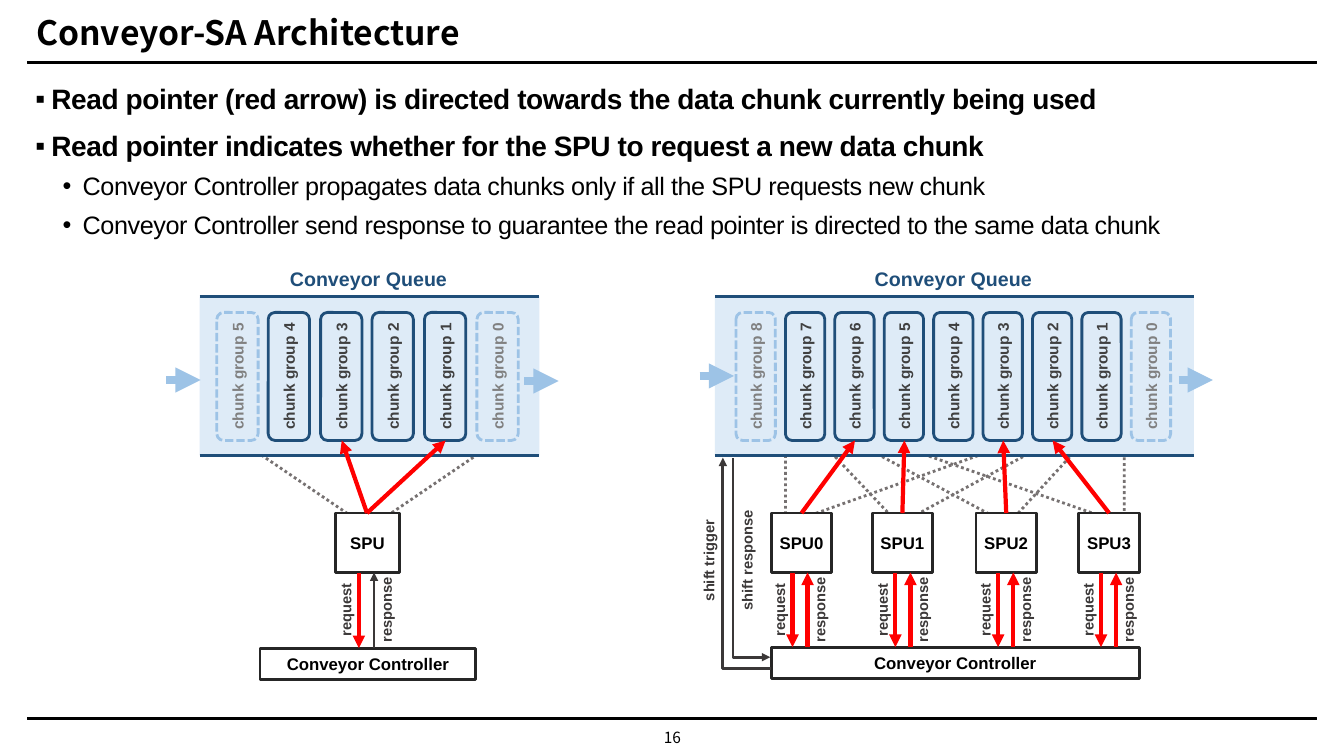
from dataclasses import dataclass

from lxml import etree
from pptx import Presentation
from pptx.dml.color import RGBColor
from pptx.enum.dml import MSO_LINE
from pptx.enum.shapes import MSO_CONNECTOR, MSO_SHAPE
from pptx.enum.text import MSO_ANCHOR, MSO_AUTO_SIZE, PP_ALIGN
from pptx.oxml.ns import qn
from pptx.util import Emu, Pt

PX = 9144  # 100 px to the inch
RECT, ROUNDED, TRIANGLE = MSO_SHAPE.RECTANGLE, MSO_SHAPE.ROUNDED_RECTANGLE, MSO_SHAPE.ISOSCELES_TRIANGLE
STRAIGHT, ELBOW = MSO_CONNECTOR.STRAIGHT, MSO_CONNECTOR.ELBOW
DOTTED, DASHED = MSO_LINE.ROUND_DOT, MSO_LINE.SQUARE_DOT
TOP, MIDDLE, BOTTOM = MSO_ANCHOR.TOP, MSO_ANCHOR.MIDDLE, MSO_ANCHOR.BOTTOM
LEFT, CENTER = PP_ALIGN.LEFT, PP_ALIGN.CENTER
GROW, FIXED = MSO_AUTO_SIZE.SHAPE_TO_FIT_TEXT, MSO_AUTO_SIZE.NONE

BLACK = RGBColor(0x00, 0x00, 0x00)
WHITE = RGBColor(0xFF, 0xFF, 0xFF)
RED = RGBColor(0xFF, 0x00, 0x00)
NAVY = RGBColor(0x1F, 0x4E, 0x79)
SKY = RGBColor(0x9D, 0xC3, 0xE6)
PALE = RGBColor(0xDE, 0xEB, 0xF7)
FRAME = RGBColor(0x26, 0x26, 0x26)
CHARCOAL = RGBColor(0x3B, 0x38, 0x38)
DARK_GRAY = RGBColor(0x40, 0x40, 0x40)
GRAY = RGBColor(0x80, 0x80, 0x80)
DOT_GRAY = RGBColor(0x76, 0x71, 0x71)

BODY_FONT, TITLE_FONT = "Arial", "Noto Sans CJK KR"
QUEUE_TOP, QUEUE_HEIGHT = 294, 158
SPU_TOP, SPU_HEIGHT = 509, 59
CHUNK_TOP, CHUNK_HEIGHT = 310, 127


@dataclass
class Spu:
    name: str
    left: int
    width: int
    range_left: int
    range_width: int
    range_top: int
    apex: float
    targets: tuple[int, ...]
    request_x: int


@dataclass
class Figure:
    center: int
    queue_left: int
    queue_right: int
    chunk_count: int
    first_chunk: int
    last_chunk: int
    chunk_width: int
    inflow: tuple[int, int]
    outflow: tuple[int, int]
    controller: tuple[int, int, int, int]
    response_color: RGBColor
    response_width: int
    spus: list[Spu]


FIGURES = [
    Figure(365, 198, 535, 6, 215, 473, 41, (165, 377), (520, 378), (258, 643, 214, 31), CHARCOAL, 2,
           [Spu("SPU", 333, 63, 244, 244, 441, 0.5, (442, 339), 356)]),
    Figure(945, 709, 1184, 9, 730, 1122, 39, (694, 373), (1169, 377), (765, 642, 365, 31), RED, 3,
           [Spu("SPU0", 765, 60, 779, 233, 437, 0, (848,), 786),
            Spu("SPU1", 865, 60, 813, 231, 437, 0.34, (897,), 888),
            Spu("SPU2", 968, 60, 845, 231, 437, 0.67, (995,), 990),
            Spu("SPU3", 1070, 60, 877, 238, 437, 1, (1044,), 1092)]),
]
BULLETS = [
    (0, "Read pointer (red arrow) is directed towards the data chunk currently being used"),
    (0, "Read pointer indicates whether for the SPU to request a new data chunk"),
    (1, "Conveyor Controller propagates data chunks only if all the SPU requests new chunk"),
    (1, "Conveyor Controller send response to guarantee the read pointer is directed to the same data chunk"),
]


def place(shape, left: int, top: int, width: int, height: int) -> None:
    shape.left, shape.top, shape.width, shape.height = (Emu(v * PX) for v in (left, top, width, height))


def set_frame(shape, anchor, insets: tuple[int, int, int, int], size=FIXED):
    frame = shape.text_frame
    frame.word_wrap, frame.auto_size, frame.vertical_anchor = True, size, anchor
    frame.margin_left, frame.margin_top, frame.margin_right, frame.margin_bottom = (Emu(v * PX) for v in insets)
    return frame


def style_para(para, size: float, color: RGBColor, align=CENTER, bold=True, font=BODY_FONT) -> None:
    para.alignment = align
    for span in para.runs:
        span.font.size, span.font.bold, span.font.name = Pt(size), bold, font
        span.font.color.rgb = color


def add_box(slide, kind, at: tuple[int, int, int, int], fill=None, line=None, line_width=2, dash=None,
            text="", size=12, color=BLACK, vertical=False):
    box = slide.shapes.add_shape(kind, *(Emu(v * PX) for v in at))
    box.shadow.inherit = False
    if fill is None:
        box.fill.background()
    else:
        box.fill.solid()
        box.fill.fore_color.rgb = fill
    if line is None:
        box.line.fill.background()
    else:
        box.line.color.rgb, box.line.width = line, Pt(line_width)
    if dash is not None:
        box.line.dash_style = dash
    if text:
        frame = set_frame(box, MIDDLE, (0, 0, 0, 0))
        frame.text = text
        style_para(frame.paragraphs[0], size, color)
        if vertical:
            frame._txBody.bodyPr.set("vert", "vert270")
    return box


def add_label(slide, text: str, center_x: int, center_y: int, width: int, height: int,
              size: float, color: RGBColor, rotation=270) -> None:
    box = slide.shapes.add_textbox(0, 0, 0, 0)
    place(box, center_x - width // 2, center_y - height // 2, width, height)
    box.rotation = rotation
    frame = set_frame(box, TOP, (0, 0, 0, 0), GROW)
    frame.text = text
    style_para(frame.paragraphs[0], size, color)


def add_line(slide, start: tuple[int, int], end: tuple[int, int], color: RGBColor, width: float,
             arrow="", kind=STRAIGHT) -> None:
    line = slide.shapes.add_connector(kind, *(Emu(v * PX) for v in start + end))
    line.line.color.rgb, line.line.width = color, Pt(width)
    properties = line.element.spPr
    if kind == ELBOW:  # one corner only
        properties.find(qn("a:prstGeom")).set("prst", "bentConnector2")
    if arrow:
        etree.SubElement(properties.find(qn("a:ln")), qn(f"a:{arrow}")).set("type", "triangle")
    etree.SubElement(properties, qn("a:effectLst"))


def add_text(slide) -> None:
    title = slide.shapes.title
    place(title, 26, 6, 1278, 51)
    frame = set_frame(title, BOTTOM, (10, 5, 10, 5))
    frame.text = "Conveyor-SA Architecture"
    frame.paragraphs[0].line_spacing = 0.9
    style_para(frame.paragraphs[0], 24, BLACK, LEFT, font=TITLE_FONT)

    body = slide.placeholders[1]
    place(body, 27, 77, 1278, 170)
    frame = set_frame(body, TOP, (8, 8, 4, 0))
    frame.text = "\n".join(text for _, text in BULLETS)
    for para, (level, _) in zip(frame.paragraphs, BULLETS):
        para.level, para.line_spacing, para.space_before = level, 0.9, Pt((12, 8)[level])
        style_para(para, (20, 18)[level], BLACK, LEFT, bold=level == 0)
        para.runs[0].font._element.set("spc", "-30")
        properties = para._p.get_or_add_pPr()
        properties.set("marL", str((16, 47)[level] * PX))
        properties.set("indent", str(-20 * PX))
        etree.SubElement(properties, qn("a:buChar")).set("char", "▪•"[level])

    # Rules and page number
    for top in (61, 712):
        add_box(slide, RECT, (27, top, 1279, 2), BLACK, BLACK, 1)
    number = slide.shapes.add_textbox(0, 0, 0, 0)
    place(number, 644, 717, 46, 28)
    frame = set_frame(number, TOP, (10, 5, 10, 5))
    frame.text = "16"
    style_para(frame.paragraphs[0], 11, BLACK, bold=False, font=TITLE_FONT)


def add_figure(slide, figure: Figure) -> None:
    # Reach of each SPU, its tip pointing down
    for spu in figure.spus:
        reach = add_box(slide, TRIANGLE, (spu.range_left, spu.range_top, spu.range_width, 83),
                        line=DOT_GRAY, dash=DOTTED)
        reach.rotation = 180
        reach.adjustments[0] = 1 - spu.apex

    # Queue with its chunks
    add_box(slide, RECT, (figure.queue_left, QUEUE_TOP, figure.queue_right - figure.queue_left, QUEUE_HEIGHT), PALE)
    for y in (QUEUE_TOP, QUEUE_TOP + QUEUE_HEIGHT):
        add_line(slide, (figure.queue_left, y), (figure.queue_right, y), NAVY, 2)
    add_label(slide, "Conveyor Queue", figure.center, 277, 265, 24, 14, NAVY, rotation=0)
    last = figure.chunk_count - 1
    for index in range(figure.chunk_count):
        left = figure.first_chunk + (figure.last_chunk - figure.first_chunk) * index // last
        outer = index in (0, last)
        add_box(slide, ROUNDED, (left, CHUNK_TOP, figure.chunk_width, CHUNK_HEIGHT), PALE,
                SKY if outer else NAVY, dash=DASHED if outer else None, text=f"chunk group {last - index}",
                size=11, color=GRAY if outer else DARK_GRAY, vertical=True)
    for x, y in (figure.inflow, figure.outflow):
        add_line(slide, (x, y), (x + 34, y), SKY, 6, "tailEnd")

    # Controller, SPUs and their arrows
    controller_top = figure.controller[1]
    add_box(slide, RECT, figure.controller, WHITE, FRAME, text="Conveyor Controller")
    for spu in figure.spus:
        add_box(slide, RECT, (spu.left, SPU_TOP, spu.width, SPU_HEIGHT), WHITE, FRAME, text=spu.name)
        for target in spu.targets:
            add_line(slide, (spu.left + spu.width // 2, SPU_TOP), (target, 437), RED, 3, "tailEnd")
        response_x = spu.request_x + 15
        spu_bottom = SPU_TOP + SPU_HEIGHT
        add_line(slide, (spu.request_x, spu_bottom), (spu.request_x, controller_top), RED, 3, "tailEnd")
        add_line(slide, (response_x, controller_top), (response_x, spu_bottom),
                 figure.response_color, figure.response_width, "tailEnd")
        add_label(slide, "request", spu.request_x - 15, 605, 62, 14, 10.5, CHARCOAL)
        add_label(slide, "response", response_x + 12, 605, 70, 18, 10.5, CHARCOAL)


def main() -> None:
    deck = Presentation()
    deck.slide_width, deck.slide_height = Emu(1333 * PX), Emu(750 * PX)
    slide = deck.slides.add_slide(deck.slide_layouts[1])
    add_text(slide)
    for figure in FIGURES:
        add_figure(slide, figure)

    # Shift signals between controller and queue
    add_line(slide, (765, 663), (717, 454), CHARCOAL, 2, "tailEnd", ELBOW)
    add_line(slide, (764, 652), (727, 454), CHARCOAL, 2, "headEnd", ELBOW)
    for text, x in (("shift trigger", 701), ("shift response", 739)):
        add_label(slide, text, x, 556, 108, 14, 10.5, CHARCOAL)
    deck.save("out.pptx")


if __name__ == "__main__":
    main()
